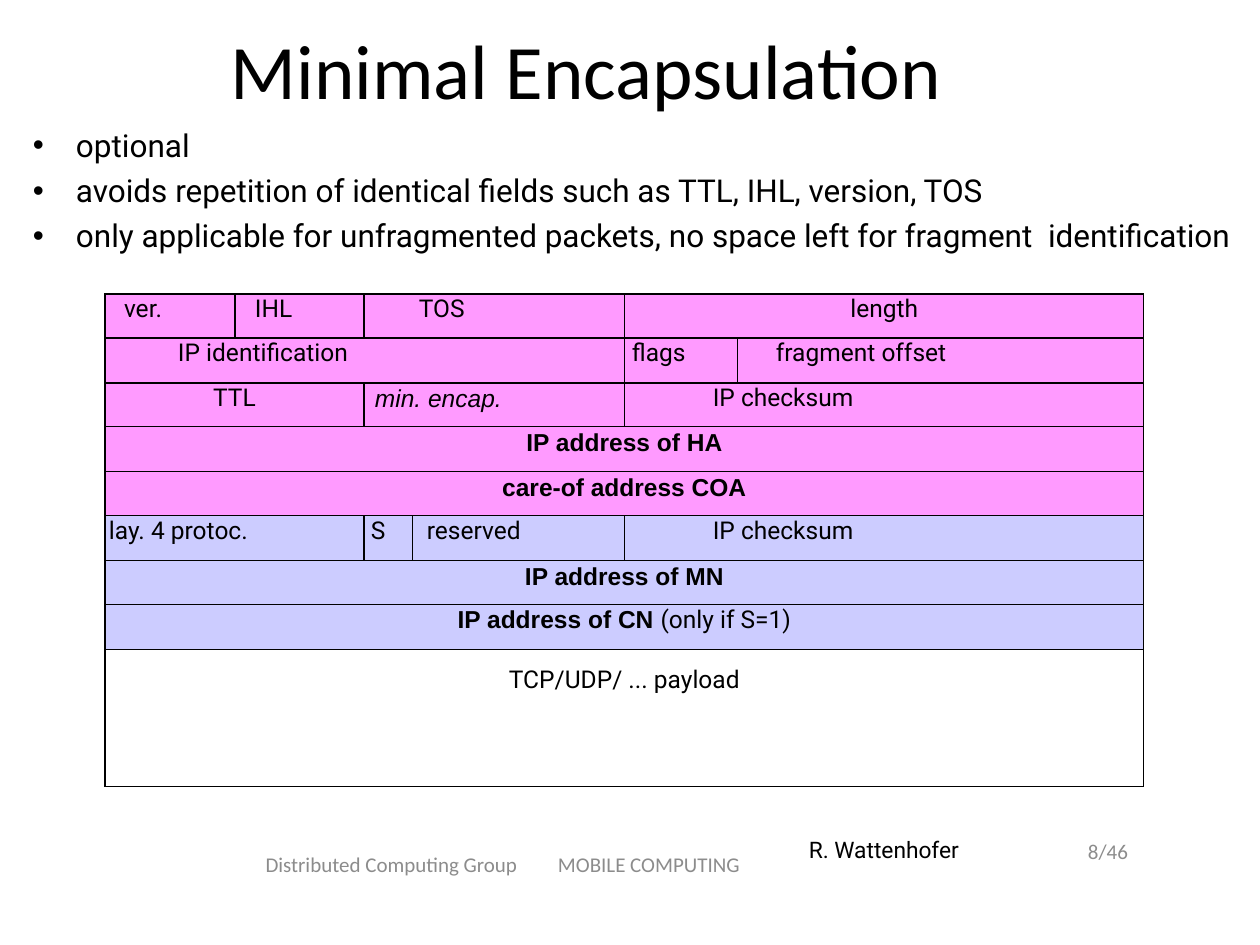
from lxml import etree
from pptx import Presentation
from pptx.dml.color import RGBColor
from pptx.enum.text import MSO_ANCHOR, PP_ALIGN
from pptx.oxml.ns import qn
from pptx.util import Emu, Pt

LEFT, CENTER, RIGHT = PP_ALIGN.LEFT, PP_ALIGN.CENTER, PP_ALIGN.RIGHT
TOP, MIDDLE = MSO_ANCHOR.TOP, MSO_ANCHOR.MIDDLE
BLACK, GREY, PINK, LILAC = "000000", "8C8C8C", "FF9AFF", "CCCCFF"
BOLD = {"font": "Arial", "bold": True}
ITALIC = {"font": "Arial", "italic": True}

BULLETS = [
    "optional",
    "avoids repetition of identical fields such as TTL, IHL, version, TOS",
    "only applicable for unfragmented packets, no space left for fragment  identification",
]
COLUMN_EDGES = [105, 235, 364, 413, 625, 738, 1144]
ROW_EDGES = [294 + i * 89 // 2 for i in range(9)] + [787]

# Each field: first column, last column, left indent (None is centred), runs.
HEADER_ROWS = [
    (PINK, [(0, 0, 19, [("ver.", {})]), (1, 1, 20, [("IHL", {})]),
            (2, 3, 55, [("TOS", {})]), (4, 5, None, [("length", {})])]),
    (PINK, [(0, 3, 73, [("IP identification", {})]), (4, 4, 7, [("flags", {})]),
            (5, 5, 38, [("fragment offset", {})])]),
    (PINK, [(0, 1, None, [("TTL", {})]), (2, 3, 11, [("min. encap.", ITALIC)]),
            (4, 5, 88, [("IP checksum", {})])]),
    (PINK, [(0, 5, None, [("IP address of HA", BOLD)])]),
    (PINK, [(0, 5, None, [("care-of address COA", BOLD)])]),
    (LILAC, [(0, 1, 4, [("lay. 4 protoc.", {})]), (2, 2, 7, [("S", {})]),
             (3, 3, 14, [("reserved", {})]), (4, 5, 88, [("IP checksum", {})])]),
    (LILAC, [(0, 5, None, [("IP address of MN", BOLD)])]),
    (LILAC, [(0, 5, None, [("IP address of CN ", BOLD), ("(only if S=1)", {})])]),
    (None, [(0, 5, None, [("TCP/UDP/ ... payload", {})])]),
]


def px(n):
    return Emu(round(n * 914400 / 126))


def rgb(color):
    return RGBColor.from_string(color)


def style_run(r, size, font="Roboto", color=BLACK, bold=False, italic=False):
    r.font.size = Pt(size)
    r.font.name = font
    r.font.color.rgb = rgb(color)
    r.font.bold = bold
    r.font.italic = italic


def add_text(slide, box, lines, size, font="Roboto", color=BLACK, align=LEFT,
             anchor=TOP, spacing=None, wrap=True, top=0):
    tf = slide.shapes.add_textbox(*map(px, box)).text_frame
    tf.word_wrap = wrap
    tf.vertical_anchor = anchor
    tf.margin_left = tf.margin_right = tf.margin_bottom = 0
    tf.margin_top = px(top)
    tf.text = "\n".join(lines)
    for p in tf.paragraphs:
        p.alignment = align
        if spacing:
            p.line_spacing = Pt(spacing)
        style_run(p.runs[0], size, font, color)
    return tf


def add_bullets(slide, box, lines):
    tf = add_text(slide, box, lines, 18, top=9)
    for i, p in enumerate(tf.paragraphs):
        if i:
            p.space_before = Pt(4.25)
        pPr = p._p.get_or_add_pPr()
        pPr.set("marL", str(px(44)))
        pPr.set("indent", str(-px(43)))
        etree.SubElement(pPr, qn("a:buFont")).set("typeface", "Arial")
        etree.SubElement(pPr, qn("a:buChar")).set("char", "•")


def add_borders(cell):
    tcPr = cell._tc.get_or_add_tcPr()
    for side in ("a:lnL", "a:lnR", "a:lnT", "a:lnB"):
        ln = etree.SubElement(tcPr, qn(side), w=str(Pt(0.75)))
        fill = etree.SubElement(ln, qn("a:solidFill"))
        etree.SubElement(fill, qn("a:srgbClr"), val=BLACK)


def fill_cell(cell, color):
    add_borders(cell)
    if color:
        cell.fill.solid()
        cell.fill.fore_color.rgb = rgb(color)
    else:
        cell.fill.background()


def write_field(cell, indent, runs, payload):
    cell.margin_left = px(indent or 0)
    cell.margin_right = cell.margin_bottom = 0
    cell.margin_top = px(16 if payload else 0)
    p = cell.text_frame.paragraphs[0]
    p.alignment = CENTER if indent is None else LEFT
    if not payload:
        p.line_spacing = Pt(17)
    for text, style in runs:
        r = p.add_run()
        r.text = text
        style_run(r, 14, **style)


def add_packet_table(slide):
    left, top = COLUMN_EDGES[0], ROW_EDGES[0]
    box = (left, top, COLUMN_EDGES[-1] - left, ROW_EDGES[-1] - top)
    table = slide.shapes.add_table(
        len(HEADER_ROWS), len(COLUMN_EDGES) - 1, *map(px, box)).table
    table.first_row = table.horz_banding = False
    for col, a, b in zip(table.columns, COLUMN_EDGES, COLUMN_EDGES[1:]):
        col.width = px(b - a)
    for row, a, b in zip(table.rows, ROW_EDGES, ROW_EDGES[1:]):
        row.height = px(b - a)
    for i, (color, fields) in enumerate(HEADER_ROWS):
        for cell in table.rows[i].cells:
            fill_cell(cell, color)
        for first, last, indent, runs in fields:
            cell = table.cell(i, first)
            if last > first:
                cell.merge(table.cell(i, last))
            write_field(cell, indent, runs, color is None)


def add_footer(slide):
    grey = {"size": 12, "font": "Calibri", "color": GREY, "anchor": MIDDLE,
            "spacing": 14.8, "wrap": False}
    add_text(slide, (246, 837, 291, 53), ["Distributed Computing Group"],
             align=CENTER, **grey)
    add_text(slide, (558, 837, 229, 53), ["MOBILE COMPUTING"], **grey)
    add_text(slide, (809, 837, 152, 28), ["R. Wattenhofer"], 13,
             spacing=14.8, wrap=False)
    add_text(slide, (1079, 837, 49, 28), ["8/46"], align=RIGHT, **grey)


def main():
    prs = Presentation()
    prs.slide_width, prs.slide_height = px(1260), px(945)
    slide = prs.slides.add_slide(prs.slide_layouts[6])
    add_text(slide, (129, 21, 915, 95), ["Minimal Encapsulation"], 44,
             font="Calibri", align=CENTER, anchor=MIDDLE, top=1)
    add_bullets(slide, (32, 117, 1228, 137), BULLETS)
    add_packet_table(slide)
    add_footer(slide)
    prs.save("out.pptx")


if __name__ == "__main__":
    main()
